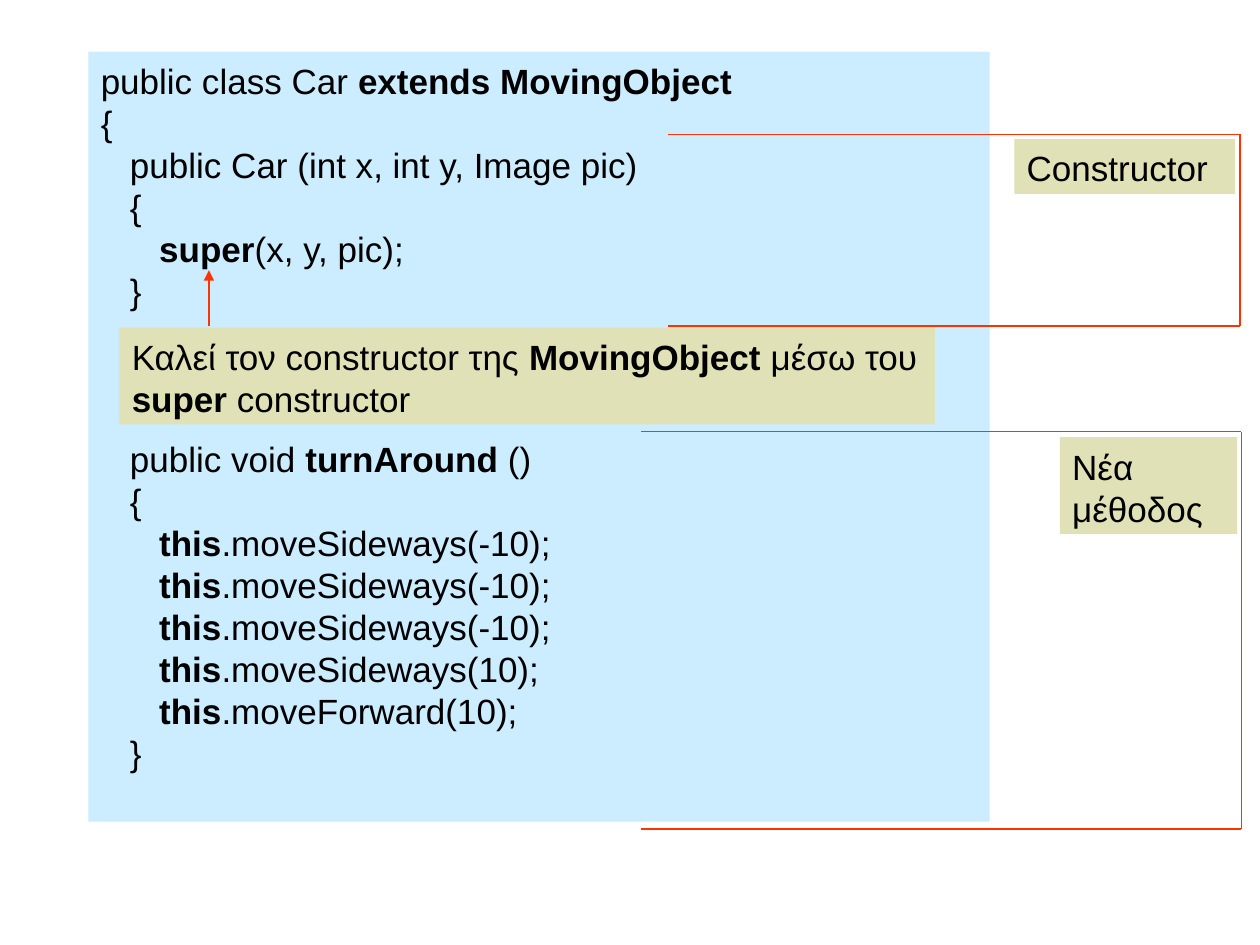
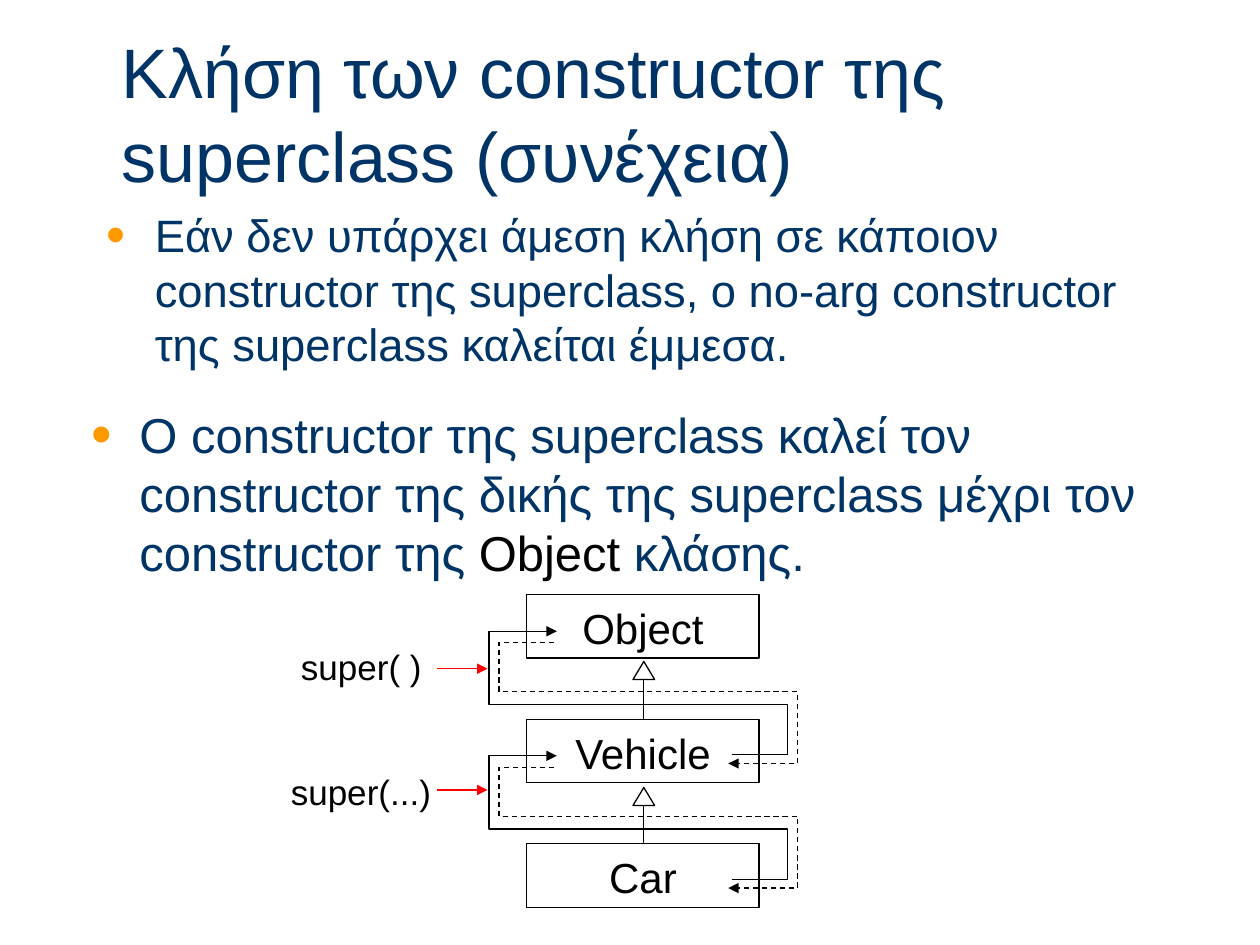
"""Build two slides on calling superclass constructors."""
import pptx
import pptx.dml.color
import pptx.enum.dml
import pptx.enum.shapes
import pptx.enum.text
import pptx.oxml.ns
import pptx.util
from lxml import etree

Pt = pptx.util.Pt
RGBColor = pptx.dml.color.RGBColor
SHAPES = pptx.enum.shapes.MSO_SHAPE
ALIGN = pptx.enum.text.PP_ALIGN

BLACK = RGBColor(0x00, 0x00, 0x00)
WHITE = RGBColor(0xFF, 0xFF, 0xFF)
NAVY = RGBColor(0x00, 0x33, 0x66)
CODE_BLUE = RGBColor(0xCC, 0xEC, 0xFF)
NOTE_KHAKI = RGBColor(0xE1, 0xE1, 0xB7)
BRACKET_RED = RGBColor(0xFF, 0x33, 0x00)
CALL_RED = RGBColor(0xFF, 0x00, 0x00)
BULLET_ORANGE = "FF9900"

FONT = "Arial"
LINE_HEIGHT = 1.2
CODE_INDENT = 16.7
BULLET_INDENT = 27.4
LEVEL_PITCH = 71.2

CODE = [
    (0, 0, "public class Car *extends MovingObject*"),
    (0, 0, "{"),
    (1, 0, "public Car (int x, int y, Image pic)"),
    (1, 0, "{"),
    (2, 0, "*super*(x, y, pic);"),
    (1, 0, "}"),
    (1, 72, "public void *turnAround* ()"),
    (1, 0, "{"),
    (2, 0, "*this*.moveSideways(-10);"),
    (2, 0, "*this*.moveSideways(-10);"),
    (2, 0, "*this*.moveSideways(-10);"),
    (2, 0, "*this*.moveSideways(10);"),
    (2, 0, "*this*.moveForward(10);"),
    (1, 0, "}"),
]
CALL_PATH = [(418.3, 431.3), (450, 431.3), (450, 402.5),
             (279.4, 402.5), (279.4, 360.7), (318.2, 360.7)]
RETURN_PATH = [(316.8, 367.2), (285.1, 367.2), (285.1, 395.3),
               (455.8, 395.3), (455.8, 436.3), (416.2, 436.3)]


def add_child(parent, tag, **attributes):
    """Append a DrawingML element to parent."""
    return etree.SubElement(parent, pptx.oxml.ns.qn(tag), attributes)


def write(paragraph, text, size=20, color=BLACK, marked_color=None,
          align=ALIGN.LEFT, before=0, indent=0, bullet=False):
    """Write text; parts between asterisks are bold, or in marked_color."""
    paragraph.alignment = align
    paragraph.line_spacing = Pt(size * LINE_HEIGHT)
    paragraph.space_before = Pt(before)
    properties = paragraph._p.get_or_add_pPr()
    properties.set("marL", str(Pt(indent)))
    properties.set("indent", str(Pt(-indent) if bullet else 0))
    if bullet:
        tint = add_child(properties, "a:buClr")
        add_child(tint, "a:srgbClr", val=BULLET_ORANGE)
        add_child(properties, "a:buSzPct", val="120000")
        add_child(properties, "a:buFont", typeface=FONT)
        add_child(properties, "a:buChar", char="•")
    for index, part in enumerate(text.split("*")):
        if not part:
            continue
        marked = index % 2 == 1
        run = paragraph.add_run()
        run.text = part
        run.font.name = FONT
        run.font.size = Pt(size)
        run.font.bold = marked and marked_color is None
        run.font.color.rgb = marked_color if marked and marked_color else color


def prepare_frame(frame):
    """Set wrapping, anchor and insets, and return the first paragraph."""
    frame.word_wrap = True
    frame.vertical_anchor = pptx.enum.text.MSO_ANCHOR.TOP
    frame.margin_left = frame.margin_right = Pt(7.2)
    frame.margin_top, frame.margin_bottom = Pt(4.6), Pt(3.6)
    return frame.paragraphs[0]


def add_text(slide, bounds, text, **text_format):
    """Add a text box with one paragraph."""
    box = slide.shapes.add_textbox(*map(Pt, bounds))
    write(prepare_frame(box.text_frame), text, **text_format)


def add_panel(slide, bounds, fill, outline=None, kind=SHAPES.RECTANGLE):
    """Add a filled shape and return it."""
    panel = slide.shapes.add_shape(kind, *map(Pt, bounds))
    panel.shadow.inherit = False
    panel.fill.solid()
    panel.fill.fore_color.rgb = fill
    if outline is None:
        panel.line.fill.background()
    else:
        style_line(panel.line, outline)
    return panel


def add_label(slide, bounds, text, fill=NOTE_KHAKI, outline=None, **text_format):
    """Add a panel with one paragraph."""
    panel = add_panel(slide, bounds, fill, outline)
    write(prepare_frame(panel.text_frame), text, **text_format)


def style_line(line, color, arrow=False):
    """Give a line its colour, width and arrowhead."""
    line.color.rgb = color
    line.width = Pt(0.75)
    if arrow:
        add_child(line._get_or_add_ln(), "a:tailEnd", type="triangle")


def add_line(slide, start, end, color, arrow=False):
    """Add a straight line between two points."""
    straight = pptx.enum.shapes.MSO_CONNECTOR.STRAIGHT
    line = slide.shapes.add_connector(straight, *map(Pt, (*start, *end)))
    style_line(line.line, color, arrow)
    add_child(line._element.spPr, "a:effectLst")


def add_route(slide, points, shift, dashed=False):
    """Add an open arrow along points moved down by shift."""
    corners = [(Pt(x), Pt(y + shift)) for x, y in points]
    builder = slide.shapes.build_freeform(*corners[0])
    builder.add_line_segments(corners[1:], close=False)
    route = builder.convert_to_shape()
    route.shadow.inherit = False
    route.fill.background()
    route.line.color.rgb = BLACK
    if dashed:
        route.line.dash_style = pptx.enum.dml.MSO_LINE.DASH
    style_line(route.line, BLACK, arrow=True)


def add_bracket(slide, left, right, top, bottom):
    """Add a red bracket that is open to the left."""
    add_line(slide, (left, top), (right, top), BRACKET_RED)
    add_line(slide, (left, bottom), (right, bottom), BRACKET_RED)
    add_line(slide, (right, bottom), (right, top), BRACKET_RED)


def add_code(slide, bounds, lines):
    """Add the code listing with one paragraph per line."""
    frame = add_panel(slide, bounds, CODE_BLUE).text_frame
    paragraph = prepare_frame(frame)
    for number, (level, before, text) in enumerate(lines):
        if number:
            paragraph = frame.add_paragraph()
        write(paragraph, text, before=before, indent=level * CODE_INDENT)


def add_inheritance(slide, top):
    """Add a hollow-headed arrow up to a superclass."""
    center = 367.9
    add_line(slide, (center, top + 50), (center, top + 8), BLACK)
    add_panel(slide, (center - 6.2, top, 12.4, 10.3), WHITE, BLACK,
              SHAPES.ISOSCELES_TRIANGLE)


def build_code_slide(slide):
    """Show the Car class with its annotations."""
    add_code(slide, (50.5, 29.5, 515, 440), CODE)
    add_bracket(slide, 366.5, 709.3, 246.7, 473.7)
    add_label(slide, (605.6, 249.8, 101.4, 55.4), "Νέα μέθοδος")
    add_label(slide, (68.2, 187.2, 466, 55.4),
              "Καλεί τον constructor της *MovingObject* μέσω του *super* constructor")
    add_line(slide, (119.4, 186.2), (119.4, 154.4), BRACKET_RED, arrow=True)
    add_bracket(slide, 381.6, 708.5, 76.8, 186.3)
    add_label(slide, (579.6, 79.3, 126, 31.5), "Constructor")


def build_chain_slide(slide):
    """Explain the constructor chain and draw it."""
    add_text(slide, (62.4, 11.5, 631.4, 99),
             "Κλήση των constructor της superclass (συνέχεια)", size=40, color=NAVY)
    add_text(slide, (54, 114, 612, 108),
             "Εάν δεν υπάρχει άμεση κλήση σε κάποιον constructor της superclass, "
             "o no-arg constructor της superclass καλείται έμμεσα.",
             size=25.9, color=NAVY, indent=BULLET_INDENT, bullet=True)
    add_text(slide, (45.2, 226.8, 612, 113),
             "Ο constructor της superclass καλεί τον constructor της δικής της "
             "superclass μέχρι τον constructor της *Object* κλάσης.",
             size=28, color=NAVY, marked_color=BLACK,
             indent=BULLET_INDENT, bullet=True)
    for top in (378, 450):
        add_inheritance(slide, top)
    for level, class_name in enumerate(("Object", "Vehicle", "Car")):
        add_label(slide, (301, 339.8 + level * LEVEL_PITCH, 132.8, 36.2), class_name,
                  fill=WHITE, outline=BLACK, size=24, align=ALIGN.CENTER)
    calls = (("super( )", 164.9, 382.1), ("super(...)", 159.1, 451.4))
    for level, (call, left, arrow_top) in enumerate(calls):
        shift = level * LEVEL_PITCH
        add_route(slide, CALL_PATH, shift)
        add_route(slide, RETURN_PATH, shift, dashed=True)
        add_text(slide, (left, 364.3 + shift, 102, 31.7), call)
        add_line(slide, (249.8, arrow_top), (278.6, arrow_top), CALL_RED, arrow=True)


def main():
    """Build and save both slides."""
    deck = pptx.Presentation()
    deck.slide_width, deck.slide_height = Pt(720), Pt(540)
    for build in (build_code_slide, build_chain_slide):
        build(deck.slides.add_slide(deck.slide_layouts[6]))
    deck.save("out.pptx")


if __name__ == "__main__":
    main()
